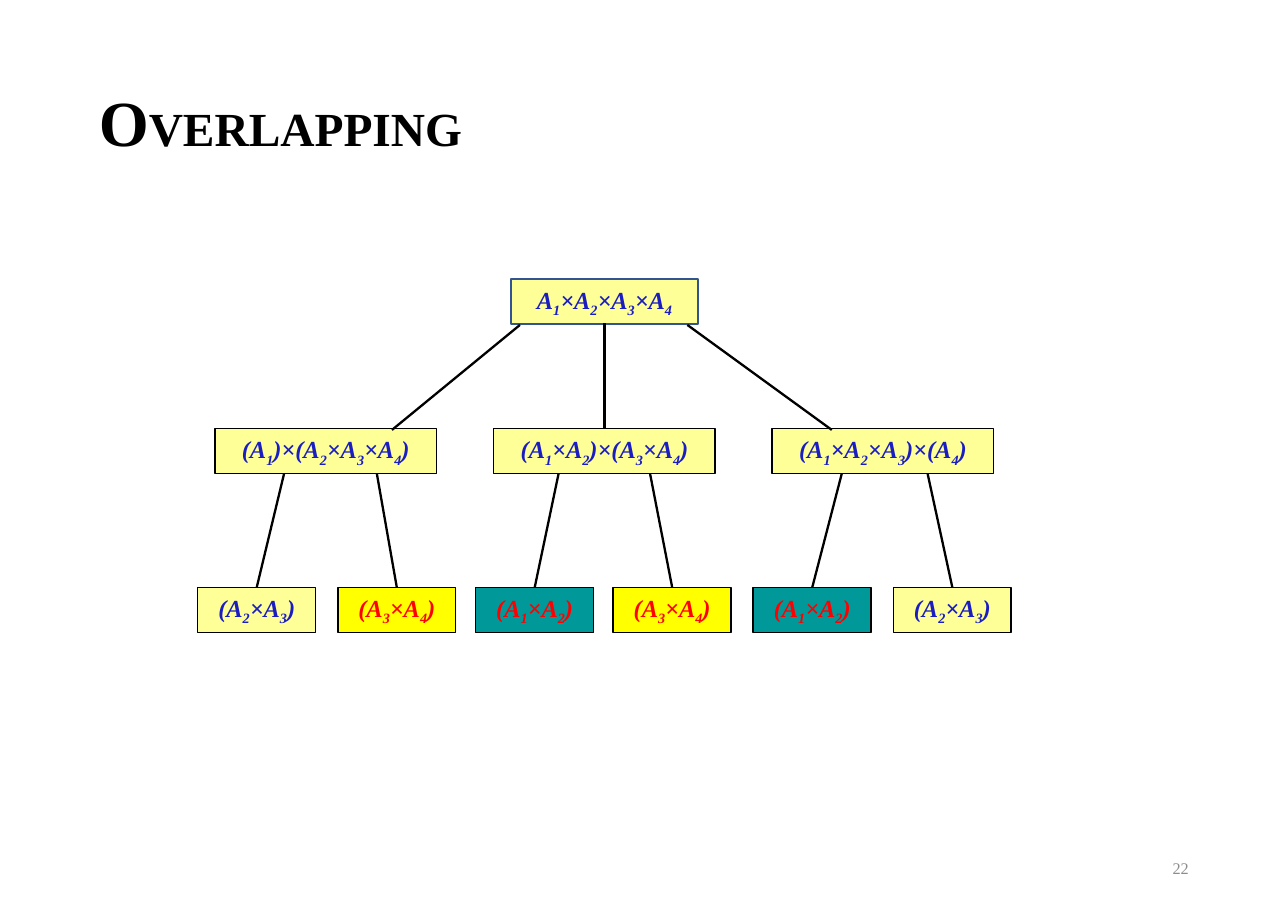
from dataclasses import dataclass
from itertools import groupby

from lxml import etree
from pptx import Presentation
from pptx.dml.color import RGBColor
from pptx.enum import shapes, text
from pptx.oxml import ns
from pptx.slide import Slide
from pptx.text.text import _Paragraph
from pptx.util import Cm, Pt

FONT = "Times New Roman"
COLOURS = {
    "black": "000000",
    "grey": "8C8C8C",
    "blue": "1A1DC0",
    "red": "FF0000",
    "border": "325491",
    "cream": "FFFF97",
    "yellow": "FFFF00",
    "teal": "009898",
}
BOX_HEIGHT = 1.04


@dataclass
class Level:
    top: float
    width: float
    border: str = "black"


@dataclass
class Product:
    level: Level
    centre: float
    formula: str
    fill: str = "cream"
    ink: str = "blue"


@dataclass
class Branch:
    start: tuple[float, float]
    end: tuple[float, float]


@dataclass
class Label:
    left: float
    top: float
    width: float
    height: float
    pieces: list[tuple[str, float]]
    ink: str = "black"
    bold: bool = False
    align: text.PP_ALIGN = text.PP_ALIGN.LEFT
    spacing: float = 1.0


def colour(name: str) -> RGBColor:
    return RGBColor.from_string(COLOURS[name])


def add_span(para: _Paragraph, words: str, size: float, ink: str,
             bold: bool, italic: bool = False, subscript: bool = False) -> None:
    span = para.add_run()
    span.text = words
    font = span.font
    font.name, font.size = FONT, Pt(size)
    font.bold, font.italic = bold, italic
    font.color.rgb = colour(ink)
    if subscript:
        font._element.set("baseline", "-25000")


def draw_label(page: Slide, label: Label) -> None:
    box = page.shapes.add_textbox(Cm(label.left), Cm(label.top),
                                  Cm(label.width), Cm(label.height))
    frame = box.text_frame
    frame.word_wrap = True
    frame.vertical_anchor = text.MSO_ANCHOR.MIDDLE
    para = frame.paragraphs[0]
    para.alignment = label.align
    para.line_spacing = label.spacing
    for words, size in label.pieces:
        add_span(para, words, size, label.ink, label.bold)


def draw_product(page: Slide, product: Product) -> None:
    level = product.level
    box = page.shapes.add_shape(
        shapes.MSO_SHAPE.RECTANGLE, Cm(product.centre - level.width / 2),
        Cm(level.top), Cm(level.width), Cm(BOX_HEIGHT))
    box.shadow.inherit = False
    box.fill.solid()
    box.fill.fore_color.rgb = colour(product.fill)
    box.line.color.rgb = colour(level.border)
    box.line.width = Pt(1)
    frame = box.text_frame
    frame.word_wrap = False
    frame.vertical_anchor = text.MSO_ANCHOR.MIDDLE
    para = frame.paragraphs[0]
    para.alignment = text.PP_ALIGN.CENTER
    # Every digit in a formula is an index
    for is_index, letters in groupby(product.formula, str.isdigit):
        add_span(para, "".join(letters), 16, product.ink, True, True, is_index)


def draw_branch(page: Slide, branch: Branch) -> None:
    line = page.shapes.add_connector(
        shapes.MSO_CONNECTOR.STRAIGHT,
        *(Cm(value) for value in branch.start + branch.end))
    line.line.color.rgb = colour("black")
    line.line.width = Pt(1.5)
    etree.SubElement(line._element.spPr, ns.qn("a:effectLst"))


ROOT = Level(6.43, 4.32, "border")
SPLIT = Level(9.88, 5.11)
PAIR = Level(13.54, 2.72)

LABELS = [
    Label(2.03, 1.24, 25.45, 3.3, [("O", 42), ("VERLAPPING", 31)],
          bold=True, spacing=0.9),
    Label(20.98, 19.46, 6.68, 1.12, [("22", 10.6)], "grey",
          align=text.PP_ALIGN.RIGHT),
]
PRODUCTS = [
    Product(ROOT, 13.94, "A1×A2×A3×A4"),
    Product(SPLIT, 7.51, "(A1)×(A2×A3×A4)"),
    Product(SPLIT, 13.94, "(A1×A2)×(A3×A4)"),
    Product(SPLIT, 20.36, "(A1×A2×A3)×(A4)"),
]
PAIRS = [
    Product(PAIR, 5.92, "(A2×A3)"),
    Product(PAIR, 9.15, "(A3×A4)", "yellow", "red"),
    Product(PAIR, 12.33, "(A1×A2)", "teal", "red"),
    Product(PAIR, 15.5, "(A3×A4)", "yellow", "red"),
    Product(PAIR, 18.73, "(A1×A2)", "teal", "red"),
    Product(PAIR, 21.96, "(A2×A3)"),
]
ROOT_BRANCHES = [
    Branch((11.99, 7.49), (9.04, 9.91)),
    Branch((13.94, 7.45), (13.94, 9.88)),
    Branch((15.85, 7.49), (19.18, 9.91)),
]
# Where each lower branch leaves its split, in the order of PAIRS
PAIR_STARTS = [6.55, 8.69, 12.88, 14.99, 19.41, 21.39]


def main() -> None:
    deck = Presentation()
    deck.slide_width, deck.slide_height = Cm(29.7), Cm(21)
    page = deck.slides.add_slide(deck.slide_layouts[6])

    # Title and page number
    for label in LABELS:
        draw_label(page, label)

    # Tree boxes
    for product in PRODUCTS + PAIRS:
        draw_product(page, product)

    # Tree branches
    pair_branches = [
        Branch((start, SPLIT.top + BOX_HEIGHT), (pair.centre, PAIR.top))
        for start, pair in zip(PAIR_STARTS, PAIRS)]
    for branch in ROOT_BRANCHES + pair_branches:
        draw_branch(page, branch)

    deck.save("out.pptx")


if __name__ == "__main__":
    main()
